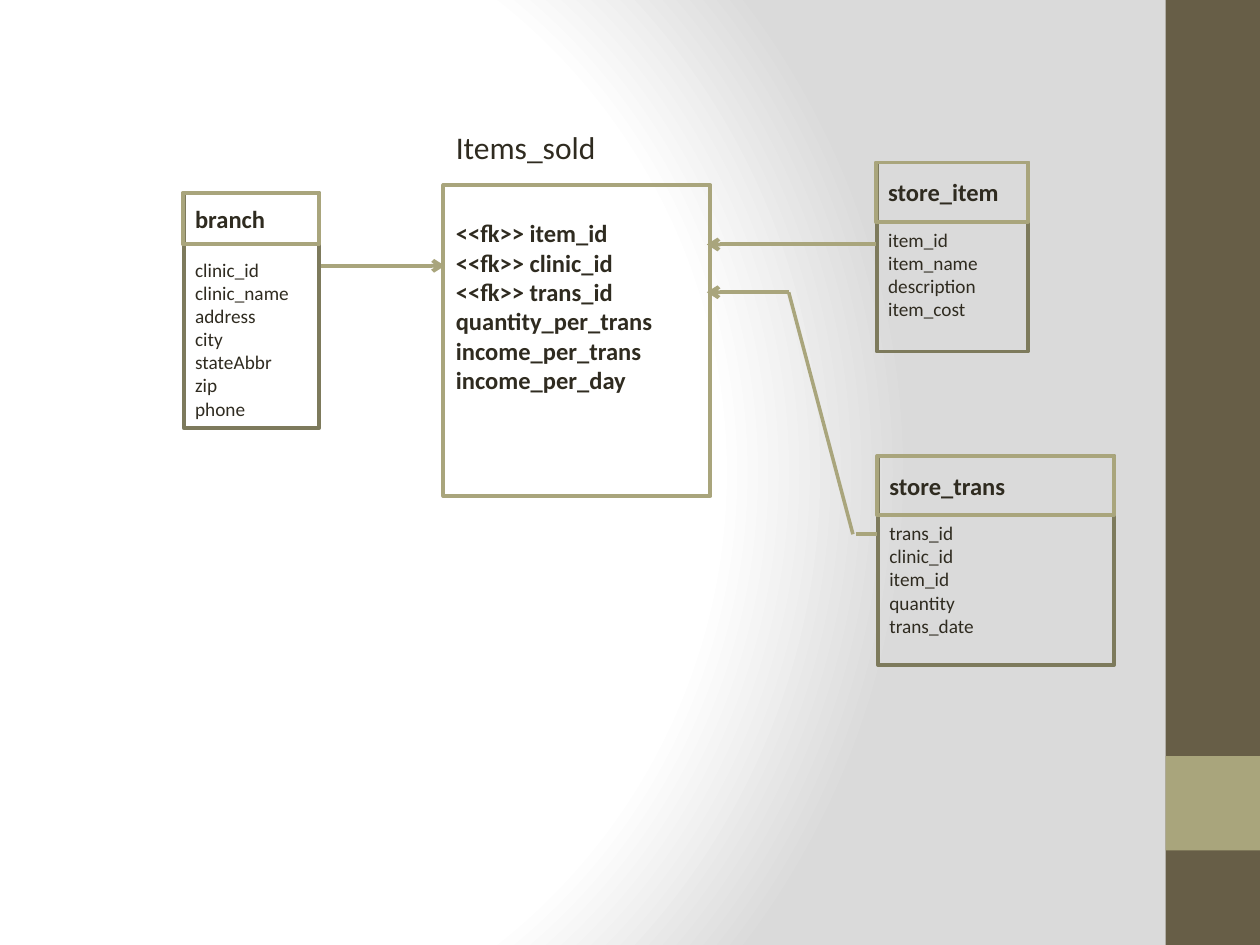
from pptx import Presentation
from pptx.dml.color import RGBColor
from pptx.enum.shapes import MSO_CONNECTOR, MSO_SHAPE
from pptx.enum.text import MSO_ANCHOR, MSO_AUTO_SIZE, PP_ALIGN
from pptx.oxml import parse_xml
from pptx.oxml.ns import nsdecls, qn
from pptx.util import Pt

RECTANGLE = MSO_SHAPE.RECTANGLE
STRAIGHT = MSO_CONNECTOR.STRAIGHT
TOP, MIDDLE = MSO_ANCHOR.TOP, MSO_ANCHOR.MIDDLE
LEFT = PP_ALIGN.LEFT
GROW = MSO_AUTO_SIZE.SHAPE_TO_FIT_TEXT

COLORS = {"text": "2F2B20", "olive": "A9A57C", "frame": "7D7A5C",
          "band": "675E47", "center": "FFFFFF", "edge": "DADADA"}
FONT = "Calibri"
BORDER = 2.25
FRAME_INSET = 0.7  # the frame starts slightly right of its header
LINE_HEIGHT = 1.22

# left, top, width, height, fill
BANDS = [(666, 0, 54, 540, "band"), (666, 432, 54, 54, "olive")]

# box is left, top, width, height; header is the header's height
ENTITIES = [
    {"name": "store_item", "box": (500.4, 92.9, 87.1, 108), "header": 33.8, "gap": 0,
     "fields": ["item_id", "item_name", "description", "item_cost"]},
    {"name": "branch", "box": (104.4, 110.2, 77.8, 134.6), "header": 29.5, "gap": 4.3,
     "fields": ["clinic_id", "clinic_name", "address", "city", "stateAbbr", "zip", "phone"]},
    {"name": "store_trans", "box": (501.1, 260.6, 135.4, 119.5), "header": 33.8, "gap": 0,
     "fields": ["trans_id", "clinic_id", "item_id", "quantity", "trans_date"]},
]

SOLD_TITLE = ("Items_sold", (253.4, 69.8, 137.5, 28.8))
SOLD_BOX = (253.4, 105.8, 152.6, 177.8)
SOLD_FIELDS = ["<<fk>> item_id", "<<fk>> clinic_id", "<<fk>> trans_id",
               "quantity_per_trans", "income_per_trans", "income_per_day"]
SOLD_BOTTOM_ROOM = 42.6  # lifts the centred fields above the middle

# start, end, width, has arrowhead
LINKS = [
    ((183.6, 151.9), (254.2, 151.9), 2.25, True),
    ((500.4, 139.7), (403.9, 139.7), 2.25, True),
    ((450.7, 167), (403.9, 167), 2.25, True),
    ((450.7, 167), (487.4, 305.3), 2, False),
    ((488.9, 305.3), (501.1, 305.3), 2, False),
]


def color(name):
    return RGBColor.from_string(COLORS[name])


def paint_background(page):
    """Give the page a circular gradient, which needs XML."""
    page.background.fill.gradient()
    gradient = page.element.find(".//" + qn("a:gradFill"))
    stops = "".join(
        f'<a:gs pos="{percent * 1000}"><a:srgbClr val="{COLORS[name]}"/></a:gs>'
        for percent, name in [(0, "center"), (75, "center"), (100, "edge")])
    gradient.getparent().replace(gradient, parse_xml(
        f'<a:gradFill {nsdecls("a")} rotWithShape="1"><a:gsLst>{stops}</a:gsLst>'
        '<a:path path="circle"><a:fillToRect l="20000" t="50000" r="100000" b="50000"/>'
        '</a:path></a:gradFill>'))


def add_rectangle(page, box, fill=None, line=None):
    shape = page.shapes.add_shape(RECTANGLE, *map(Pt, box))
    shape.shadow.inherit = False
    if fill:
        shape.fill.solid()
        shape.fill.fore_color.rgb = color(fill)
    else:
        shape.fill.background()
    if line:
        shape.line.color.rgb = color(line)
        shape.line.width = Pt(BORDER)
    else:
        shape.line.fill.background()
    return shape


def write(shape, lines, size, bold=False, **frame_format):
    frame = shape.text_frame
    for key, value in {"word_wrap": True, **frame_format}.items():
        setattr(frame, key, value)
    for index, line in enumerate(lines):
        para = frame.paragraphs[0] if index == 0 else frame.add_paragraph()
        para.alignment = LEFT
        span = para.add_run()
        span.text = line
        span.font.color.rgb = color("text")
        for key, value in {"name": FONT, "size": Pt(size), "bold": bold}.items():
            setattr(span.font, key, value)


def add_text(page, box, lines, size):
    text_box = page.shapes.add_textbox(*map(Pt, box))
    write(text_box, lines, size, vertical_anchor=TOP, auto_size=GROW)


def add_entity(page, entity):
    left, top, width, height = entity["box"]
    header, fields = entity["header"], entity["fields"]
    add_rectangle(page, (left + FRAME_INSET, top, width - FRAME_INSET, height), line="frame")
    title = add_rectangle(page, (left, top, width, header), line="olive")
    write(title, [entity["name"]], 14, bold=True, vertical_anchor=MIDDLE)
    text_height = len(fields) * 11 * LINE_HEIGHT + 7.2
    add_text(page, (left, top + header + entity["gap"], width, text_height), fields, 11)


def add_link(page, start, end, width, arrow):
    link = page.shapes.add_connector(STRAIGHT, *map(Pt, start + end))
    link.line.color.rgb = color("olive")
    link.line.width = Pt(width)
    if arrow:
        link.line._get_or_add_ln().append(
            parse_xml(f'<a:tailEnd {nsdecls("a")} type="arrow"/>'))
    link.element.spPr.append(parse_xml(f'<a:effectLst {nsdecls("a")}/>'))


def main():
    deck = Presentation()
    deck.slide_width, deck.slide_height = Pt(720), Pt(540)
    page = deck.slides.add_slide(deck.slide_layouts[6])
    paint_background(page)
    for *box, fill in BANDS:
        add_rectangle(page, box, fill=fill)
    for entity in ENTITIES:
        add_entity(page, entity)
    sold = add_rectangle(page, SOLD_BOX, line="olive")
    write(sold, SOLD_FIELDS, 14, bold=True, vertical_anchor=MIDDLE,
          margin_bottom=Pt(SOLD_BOTTOM_ROOM))
    for link in LINKS:
        add_link(page, *link)
    title, box = SOLD_TITLE
    add_text(page, box, [title], 18)
    deck.save("out.pptx")


if __name__ == "__main__":
    main()
